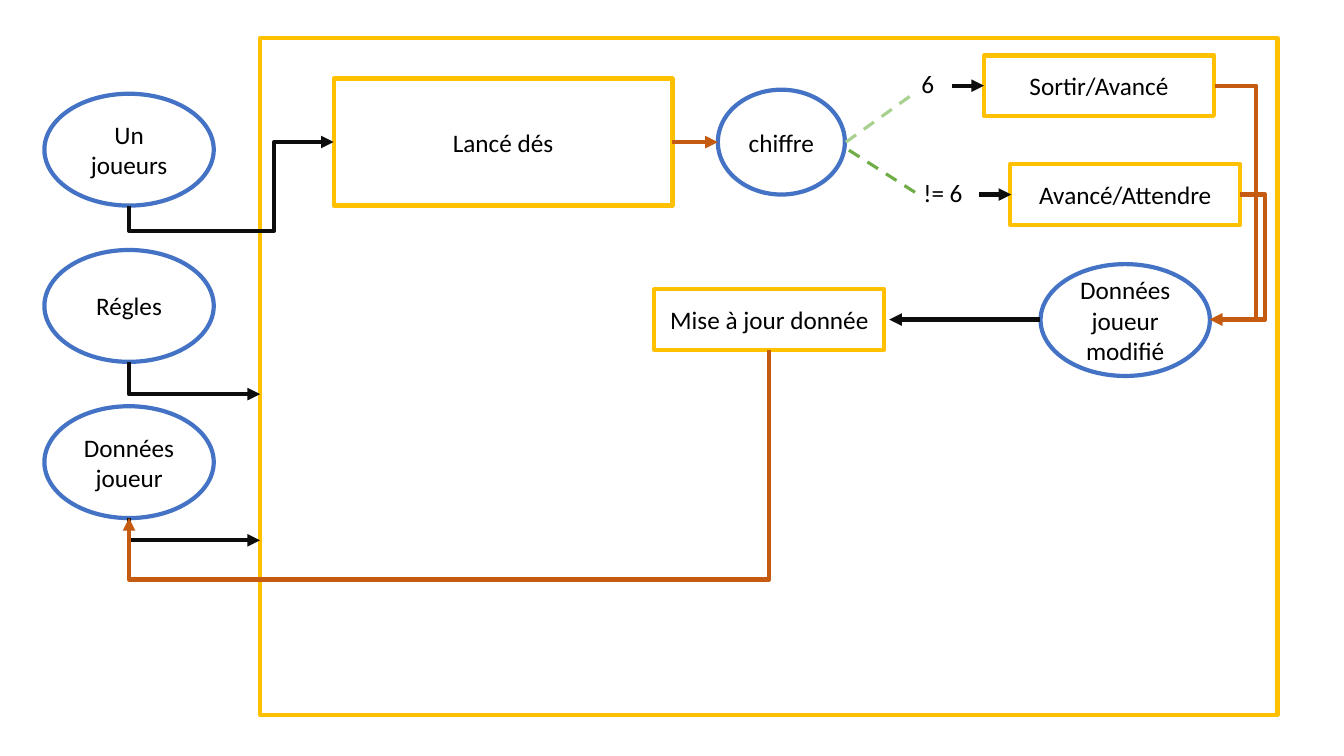
from lxml import etree
from pptx import Presentation
from pptx.dml.color import RGBColor
from pptx.enum.dml import MSO_LINE
from pptx.enum.shapes import MSO_CONNECTOR, MSO_SHAPE
from pptx.enum.text import MSO_ANCHOR, MSO_AUTO_SIZE, PP_ALIGN
from pptx.oxml.ns import qn
from pptx.util import Inches, Pt

RECT, OVAL = MSO_SHAPE.RECTANGLE, MSO_SHAPE.OVAL
STRAIGHT, ELBOW = MSO_CONNECTOR.STRAIGHT, MSO_CONNECTOR.ELBOW
COLORS = {"white": "FFFFFF", "text": "000000", "process": "FFC000", "data": "4472C4",
          "input": "0D0D0D", "output": "C55A11", "six": "A9D18E", "other": "70AD47"}
FONT = {"name": "Calibri", "size": Pt(18)}

# Content: boxes are left, top, width, height
ENTITY, STEP = (1.68, 1.11), (2.28, 0.6)
INPUTS = ["Un joueurs", "Régles", "Données joueur"]
INPUT_LEFT, INPUT_TOP, INPUT_PITCH = 0.44, 0.93, 1.55
SYSTEM = (2.58, 0.38, 10.09, 6.71)
PROCESSES = [
    ("Lancé dés", (3.31, 0.78, 3.36, 1.26)),
    ("Sortir/Avancé", (9.76, 0.55, *STEP)),
    ("Avancé/Attendre", (10.02, 1.63, *STEP)),
    ("Mise à jour donnée", (6.49, 2.87, *STEP)),
]
DATA = [("chiffre", (7.12, 0.89, 1.26, 1.04)),
        ("Données joueur modifié", (10.32, 2.62, *ENTITY))]
DATA += [(name, (INPUT_LEFT, INPUT_TOP + i * INPUT_PITCH, *ENTITY))
         for i, name in enumerate(INPUTS)]
CONDITIONS = [("6", (9.04, 0.63, 0.67, 0.4)), ("!= 6", (9.06, 1.71, 0.67, 0.4))]
BRANCHES = [("six", (8.39, 1.41), (9.06, 0.93)), ("other", (8.42, 1.49), (9.11, 1.93))]
# Arrows: colour, then the points from tail to tip
ARROWS = [
    ("input", (1.28, 2.04), (1.28, 2.29), (2.72, 2.29), (2.72, 1.41), (3.31, 1.41)),
    ("input", (1.28, 3.59), (1.28, 3.91), (2.58, 3.91)),
    ("input", (1.28, 5.14), (1.28, 5.36), (2.58, 5.36)),
    ("output", (6.67, 1.41), (7.12, 1.41)),
    ("input", (9.44, 0.85), (9.76, 0.85)),
    ("input", (9.71, 1.93), (10.03, 1.93)),
    ("output", (12.3, 1.93), (12.55, 1.93), (12.55, 3.17), (12, 3.17)),
    ("output", (12.05, 0.85), (12.46, 0.85), (12.46, 3.17), (12, 3.17)),
    ("input", (10.32, 3.17), (8.82, 3.17)),
    ("output", (7.63, 3.47), (7.63, 5.75), (1.28, 5.75), (1.28, 5.14)),
]

prs = Presentation()
prs.slide_width, prs.slide_height = Inches(13.33), Inches(7.5)
s = prs.slides.add_slide(prs.slide_layouts[6])


def rgb(key):
    return RGBColor.from_string(COLORS[key])


def write(sp, text, align):
    tf = sp.text_frame
    tf.word_wrap = True
    p = tf.paragraphs[0]
    p.alignment = align
    r = p.add_run()
    r.text = text
    for key, value in FONT.items():
        setattr(r.font, key, value)
    r.font.color.rgb = rgb("text")
    return tf


def add_node(kind, text, box, color):
    sp = s.shapes.add_shape(kind, *map(Inches, box))
    sp.shadow.inherit = False
    sp.fill.solid()
    sp.fill.fore_color.rgb = rgb("white")
    sp.line.color.rgb, sp.line.width = rgb(color), Pt(3)
    if text:
        write(sp, text, PP_ALIGN.CENTER).vertical_anchor = MSO_ANCHOR.MIDDLE


def bend(cx, points):
    """Derive the elbow's rotation, flips and adjustments from its corners."""
    (x0, y0), (x1, y1) = points[0], points[-1]
    upright = points[1][0] == x0
    # Local axes: the first segment runs along local x
    local = [(y - y0, x0 - x) if upright else (x - x0, y - y0) for x, y in points]
    dx, dy = local[-1]
    flip_h, flip_v, rot = dx < 0, dy < 0, 90 if upright else 0
    if upright and flip_v and not flip_h:
        flip_h, flip_v, rot = True, False, 270
    w, h = abs(dx), abs(dy)
    cx.left, cx.top = Inches((x0 + x1 - w) / 2), Inches((y0 + y1 - h) / 2)
    cx.width, cx.height = Inches(w), Inches(h)
    xfrm = cx._element.spPr.find(qn("a:xfrm"))
    for key, value in {"rot": rot * 60000, "flipH": int(flip_h), "flipV": int(flip_v)}.items():
        xfrm.set(key, str(value))
    geom = cx._element.spPr.find(qn("a:prstGeom"))
    geom.set("prst", f"bentConnector{len(points) - 1}")
    guides = geom.find(qn("a:avLst"))
    if guides is None:
        guides = etree.SubElement(geom, qn("a:avLst"))
    for i in range(1, len(points) - 2):
        axis = (i - 1) % 2
        ratio = local[i][axis] / local[-1][axis]
        etree.SubElement(guides, qn("a:gd"), name=f"adj{i}", fmla=f"val {round(ratio * 100000)}")


def add_line(color, points, width=3, dash=None):
    kind = STRAIGHT if len(points) == 2 else ELBOW
    cx = s.shapes.add_connector(kind, *map(Inches, points[0] + points[-1]))
    if kind == ELBOW:
        bend(cx, points)
    cx.line.color.rgb, cx.line.width = rgb(color), Pt(width)
    if dash:
        cx.line.dash_style = dash
    else:
        etree.SubElement(cx.line._get_or_add_ln(), qn("a:tailEnd"), type="triangle")
    etree.SubElement(cx._element.spPr, qn("a:effectLst"))


# System frame, processes and data
add_node(RECT, "", SYSTEM, "process")
for text, box in PROCESSES:
    add_node(RECT, text, box, "process")
for text, box in DATA:
    add_node(OVAL, text, box, "data")

# Dice conditions
for text, box in CONDITIONS:
    tf = write(s.shapes.add_textbox(*map(Inches, box)), text, PP_ALIGN.LEFT)
    tf.auto_size = MSO_AUTO_SIZE.SHAPE_TO_FIT_TEXT
for color, *points in BRANCHES:
    add_line(color, points, 2.25, MSO_LINE.DASH)

# Flows
for color, *points in ARROWS:
    add_line(color, points)

prs.save("out.pptx")
